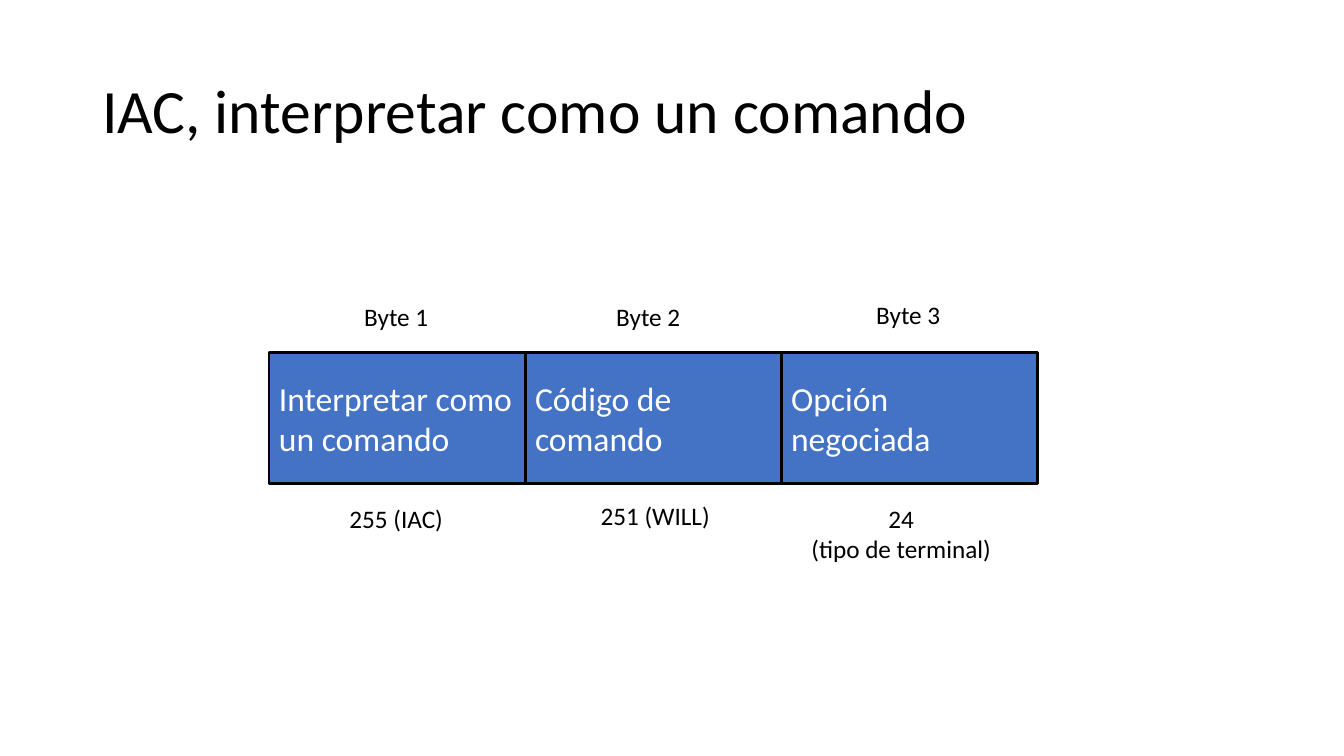
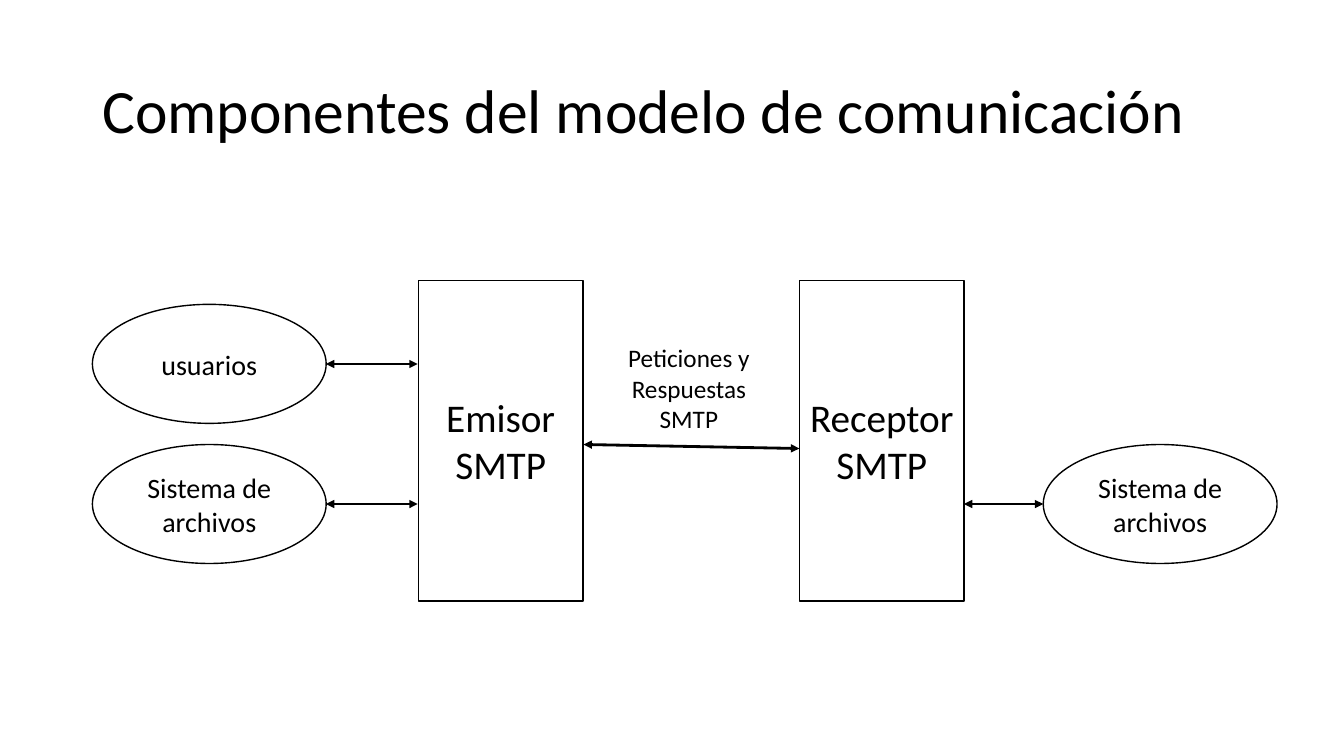
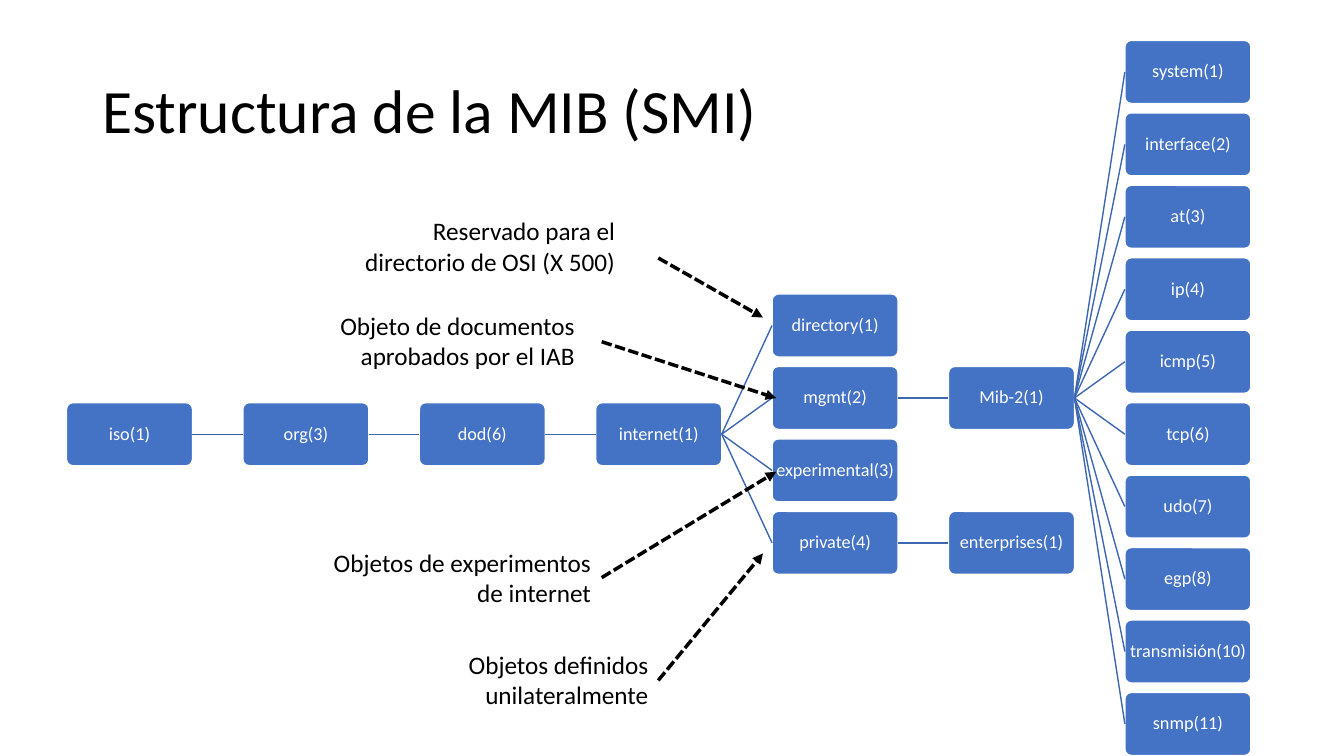
"""Build three slides on network protocols: TELNET commands, SMTP and the MIB tree."""
from dataclasses import dataclass
from typing import Optional

import lxml.etree
import pptx
import pptx.dml.color
import pptx.enum.dml
import pptx.enum.shapes
import pptx.enum.text
import pptx.oxml.ns
import pptx.util

Pt = pptx.util.Pt
qn = pptx.oxml.ns.qn
ALIGN = pptx.enum.text.PP_ALIGN
ANCHOR = pptx.enum.text.MSO_ANCHOR
SHAPE = pptx.enum.shapes.MSO_SHAPE
COLORS = {"ink": "000000", "paper": "FFFFFF", "box": "4472C4", "link": "3E67B2", "first_link": "365B9D"}
FONT = "Calibri"


@dataclass
class Label:
    """Text box; places and sizes in points."""
    text: str
    left: float
    top: float
    width: float
    height: float
    align: ALIGN = ALIGN.CENTER
    size: float = 18
    anchor: ANCHOR = ANCHOR.TOP
    spacing: float = 1.0


@dataclass
class Block:
    """Outlined shape with text; places and sizes in points."""
    text: str
    left: float
    top: float
    width: float
    height: float
    size: float
    kind: SHAPE = SHAPE.RECTANGLE
    fill: Optional[str] = None
    outline: str = "ink"
    weight: float = 1
    color: str = "ink"
    align: ALIGN = ALIGN.CENTER
    inset: float = 7.2
    spacing: float = 1.0


@dataclass
class Arrow:
    """Straight line between two points."""
    x1: float
    y1: float
    x2: float
    y2: float
    weight: float = 2
    color: str = "ink"
    ends: tuple[str, ...] = ("headEnd", "tailEnd")
    dashed: bool = False


@dataclass
class Node:
    """Entry of the MIB tree, placed by column and row."""
    text: str
    column: int
    row: float
    parent: Optional[str] = None
    link: str = "link"


def rgb(name: str) -> pptx.dml.color.RGBColor:
    """Return a named colour."""
    return pptx.dml.color.RGBColor.from_string(COLORS[name])


def write(frame, text: str, size: float, color: str, align: ALIGN, spacing: float) -> None:
    """Fill a text frame with uniformly formatted paragraphs."""
    frame.word_wrap = True
    frame.text = text
    for paragraph in frame.paragraphs:
        paragraph.alignment = align
        paragraph.line_spacing = spacing
        paragraph.font.name = FONT
        paragraph.font.size = Pt(size)
        paragraph.font.color.rgb = rgb(color)


def draw_label(slide, label: Label) -> None:
    """Draw a text box."""
    frame = slide.shapes.add_textbox(
        Pt(label.left), Pt(label.top), Pt(label.width), Pt(label.height)).text_frame
    frame.vertical_anchor = label.anchor
    write(frame, label.text, label.size, "ink", label.align, label.spacing)


def draw_block(slide, block: Block):
    """Draw a shape with its text and return it."""
    shape = slide.shapes.add_shape(
        block.kind, Pt(block.left), Pt(block.top), Pt(block.width), Pt(block.height))
    shape.shadow.inherit = False
    if block.kind == SHAPE.ROUNDED_RECTANGLE:
        shape.adjustments[0] = 0.1
    if block.fill:
        shape.fill.solid()
        shape.fill.fore_color.rgb = rgb(block.fill)
    else:
        shape.fill.background()
    shape.line.color.rgb = rgb(block.outline)
    shape.line.width = Pt(block.weight)
    frame = shape.text_frame
    frame.vertical_anchor = ANCHOR.MIDDLE
    frame.margin_left = frame.margin_right = Pt(block.inset)
    write(frame, block.text, block.size, block.color, block.align, block.spacing)
    return shape


def draw_arrow(slide, arrow: Arrow):
    """Draw a line with its arrowheads and return it."""
    connector = slide.shapes.add_connector(
        pptx.enum.shapes.MSO_CONNECTOR.STRAIGHT,
        Pt(arrow.x1), Pt(arrow.y1), Pt(arrow.x2), Pt(arrow.y2))
    connector.line.color.rgb = rgb(arrow.color)
    connector.line.width = Pt(arrow.weight)
    if arrow.dashed:
        connector.line.dash_style = pptx.enum.dml.MSO_LINE.SQUARE_DOT
    properties = connector.element.spPr
    outline = properties.find(qn("a:ln"))
    for end in arrow.ends:
        lxml.etree.SubElement(outline, qn(f"a:{end}"), type="triangle")
    lxml.etree.SubElement(properties, qn("a:effectLst"))
    return connector


def add_titled_slide(deck, title: str):
    """Add a blank slide with the shared title style."""
    slide = deck.slides.add_slide(deck.slide_layouts[6])
    draw_label(slide, Label(title, 66, 28.8, 828, 104.4, ALIGN.LEFT, 44, ANCHOR.MIDDLE, 0.9))
    return slide


def build_iac(deck) -> None:
    """Show the three bytes of a TELNET command."""
    slide = add_titled_slide(deck, "IAC, interpretar como un comando")
    width = 182.9
    fields = ("Interpretar como un comando", "Código de comando", "Opción negociada")
    for index, field in enumerate(fields):
        draw_block(slide, Block(field, 192.2 + index * width, 251.8, width, 93.6, 24, fill="box",
                                weight=2, color="paper", align=ALIGN.LEFT))
    captions = (
        ("Byte 1", 283, 211.7), ("Byte 2", 463, 211.7), ("Byte 3", 648.7, 210.2),
        ("255 (IAC)", 283, 355.7), ("251 (WILL)", 468, 353.5),
        ("24\n(tipo de terminal)", 643.7, 355.7),
    )
    for text, center, top in captions:
        draw_label(slide, Label(text, center - 73, top, 146, 29 + 22 * text.count("\n")))


def build_smtp(deck) -> None:
    """Show the parts of the SMTP model."""
    slide = add_titled_slide(deck, "Componentes del modelo de comunicación")
    for text, left in (("Emisor SMTP", 298.8), ("Receptor SMTP", 571)):
        draw_block(slide, Block(text, left, 200.2, 117.6, 229, 28, inset=6))
    ellipses = (("Sistema de archivos", 66, 317.5), ("usuarios", 66, 217.4),
                ("Sistema de archivos", 745.2, 317.5))
    for text, left, top in ellipses:
        draw_block(slide, Block(text, left, top, 167, 85, 20, SHAPE.OVAL))
    for ends in ((232.8, 260, 298.4, 260), (232.8, 360, 298.4, 360),
                 (688.5, 360, 745.2, 360), (416.8, 317.5, 571, 320.4)):
        draw_arrow(slide, Arrow(*ends))
    draw_label(slide, Label("Peticiones y\nRespuestas SMTP", 433.4, 241.2, 117.4, 72.7))


def build_mib(deck) -> None:
    """Show the MIB tree and the notes on its branches."""
    slide = add_titled_slide(deck, "Estructura de la MIB (SMI)")
    groups = ("system(1)", "interface(2)", "at(3)", "ip(4)", "icmp(5)", "tcp(6)",
              "udo(7)", "egp(8)", "transmisión(10)", "snmp(11)")
    nodes = [
        Node("iso(1)", 0, 5),
        Node("org(3)", 1, 5, "iso(1)", "first_link"),
        Node("dod(6)", 2, 5, "org(3)"),
        Node("internet(1)", 3, 5, "dod(6)"),
        Node("directory(1)", 4, 3.5, "internet(1)"),
        Node("mgmt(2)", 4, 4.5, "internet(1)"),
        Node("experimental(3)", 4, 5.5, "internet(1)"),
        Node("private(4)", 4, 6.5, "internet(1)"),
        Node("Mib-2(1)", 5, 4.5, "mgmt(2)"),
        Node("enterprises(1)", 5, 6.5, "private(4)"),
        *(Node(group, 6, row, "Mib-2(1)") for row, group in enumerate(groups)),
    ]
    drawn = {}
    for node in nodes:
        drawn[node.text] = draw_block(slide, Block(
            node.text, 47.5 + 126 * node.column, 28.9 + 51.75 * node.row, 90, 45, 13,
            SHAPE.ROUNDED_RECTANGLE, "box", "paper", color="paper", inset=1, spacing=0.9))
        if node.parent:
            link = draw_arrow(slide, Arrow(0, 0, 0, 0, 1, node.link, ()))
            link.begin_connect(drawn[node.parent], 3)
            link.end_connect(drawn[node.text], 1)
    notes = (
        ("Reservado para el directorio de OSI (X 500)", 240.4, 150.5, 206),
        ("Objeto de documentos aprobados por el IAB", 228.2, 218.2, 189.4),
        ("Objetos de experimentos de internet", 228.2, 387.4, 201),
        ("Objetos definidos unilateralmente", 280.8, 460.1, 189.4),
    )
    for text, left, top, width in notes:
        draw_label(slide, Label(text, left, top, width, 51, ALIGN.RIGHT))
    for ends in ((470.2, 184.3, 545, 226.8), (429.8, 244.1, 554.4, 284.4),
                 (429.8, 412.6, 554.4, 337), (470.2, 486, 545, 395.3)):
        draw_arrow(slide, Arrow(*ends, weight=2.5, ends=("tailEnd",), dashed=True))


def main() -> None:
    """Build and save the deck."""
    deck = pptx.Presentation()
    deck.slide_width, deck.slide_height = Pt(960), Pt(540)
    build_iac(deck)
    build_smtp(deck)
    build_mib(deck)
    deck.save("out.pptx")


if __name__ == "__main__":
    main()
